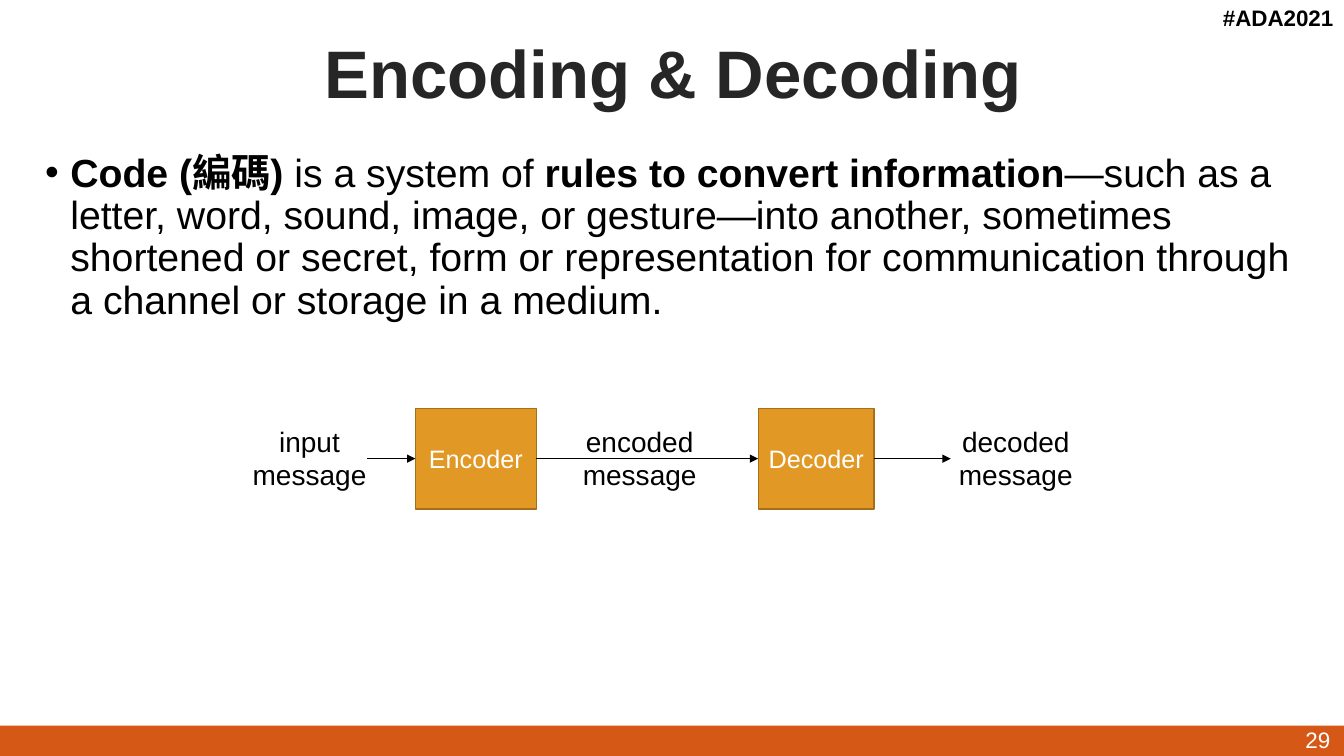
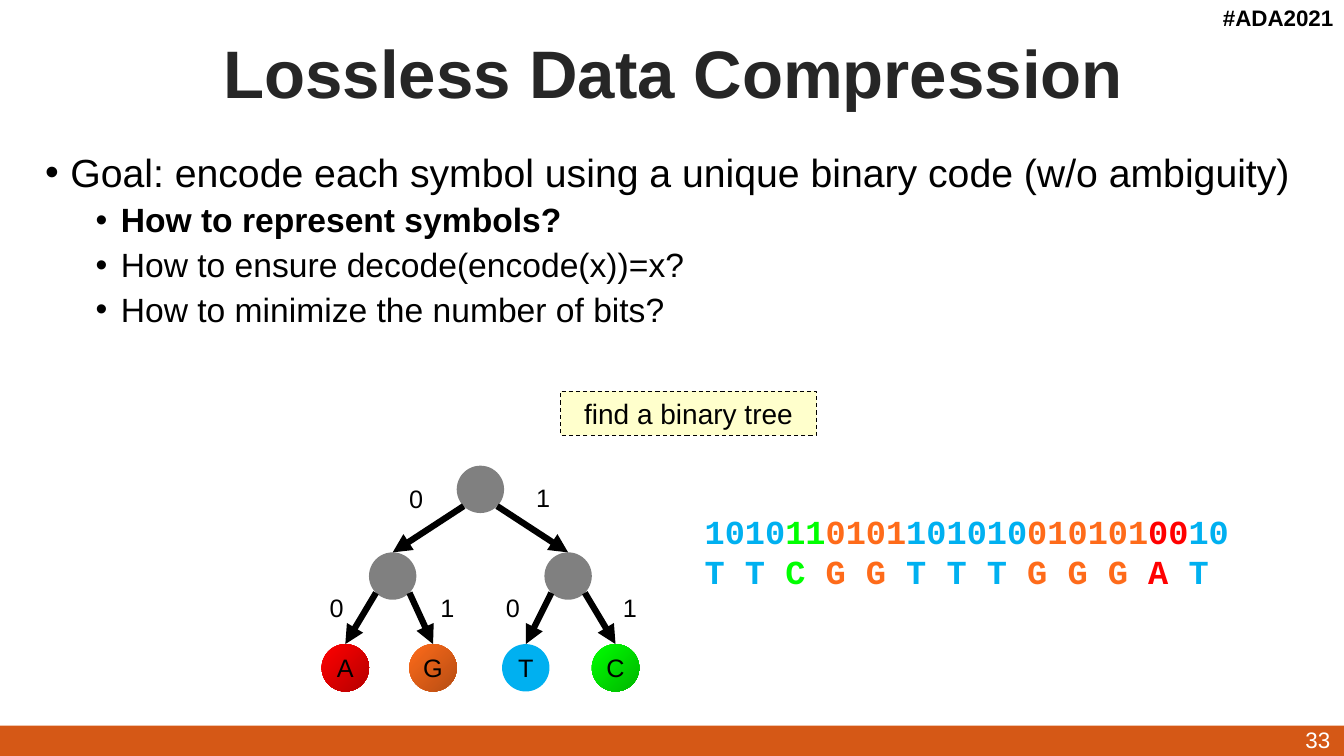
from dataclasses import dataclass
from itertools import groupby
from math import sqrt

from lxml.etree import SubElement
from pptx import Presentation
from pptx.dml.color import RGBColor as RGB
from pptx.enum.dml import MSO_LINE_DASH_STYLE as DASH
from pptx.enum.shapes import MSO_CONNECTOR as CONN, MSO_SHAPE as SHAPE
from pptx.enum.text import MSO_ANCHOR as ANCHOR, MSO_AUTO_SIZE as AUTO, PP_ALIGN as ALIGN
from pptx.oxml.ns import qn
from pptx.util import Inches, Pt


@dataclass(frozen=True)
class Theme:
    font: str = "Arial"
    mono: str = "Courier New"
    black: str = "000000"
    white: str = "FFFFFF"
    title: str = "262626"
    band: str = "D55816"
    box: str = "E19825"
    box_line: str = "A6701B"
    node: str = "808080"
    note: str = "FFFFCC"
    title_size: int = 48
    body_size: int = 28
    sub_size: int = 24
    label_size: int = 20
    small_size: int = 18
    footer_size: int = 16


T = Theme()


def write(sp, paras, size, color=T.black, bold=False, font=T.font,
          align=ALIGN.LEFT, anchor=ANCHOR.TOP, wrap=True):
    """Fill a shape; a paragraph is a string or a list of (text, bold, color)."""
    tf = sp.text_frame
    tf.auto_size, tf.word_wrap, tf.vertical_anchor = AUTO.NONE, wrap, anchor
    for i, para in enumerate(paras):
        p = tf.add_paragraph() if i else tf.paragraphs[0]
        p.alignment = align
        for text, run_bold, run_color in [(para, bold, color)] if isinstance(para, str) else para:
            r = p.add_run()
            r.text = text
            r.font.name, r.font.size, r.font.bold = font, Pt(size), run_bold
            r.font.color.rgb = RGB.from_string(run_color)
    return tf


def add_arrow(s, start, end, width):
    line = s.shapes.add_connector(CONN.STRAIGHT, *(Inches(v) for v in (*start, *end)))
    line.line.width = Pt(width)
    line.line.color.rgb = RGB.from_string(T.black)
    SubElement(line.line._get_or_add_ln(), qn("a:tailEnd"), type="triangle")
    SubElement(line._element.spPr, qn("a:effectLst"))
    return line


prs = Presentation()
prs.slide_width, prs.slide_height = Inches(13.33), Inches(7.5)

# Title, bullets, band and footer of each slide: bullets are (level, paragraph)
pages = [
    ("Encoding & Decoding", "29", [
        (0, [("Code (編碼) ", True, T.black),
             ("is a system of ", False, T.black),
             ("rules to convert information", True, T.black),
             ("—such as a letter, word, sound, image, or gesture—into another, "
              "sometimes shortened or secret, form or representation for "
              "communication through a channel or storage in a medium.", False, T.black)]),
    ]),
    ("Lossless Data Compression", "33", [
        (0, "Goal: encode each symbol using a unique binary code (w/o ambiguity)"),
        (1, [("How to represent symbols?", True, T.black)]),
        (1, "How to ensure decode(encode(x))=x?"),
        (1, "How to minimize the number of bits?"),
    ]),
]
slides = []
for title, number, bullets in pages:
    s = prs.slides.add_slide(prs.slide_layouts[5])
    slides.append(s)

    sp = s.shapes.add_textbox(Inches(12.03), Inches(-0.01), Inches(1.31), Inches(0.37))
    write(sp, ["#ADA2021"], T.footer_size, bold=True, wrap=False)

    sp = s.shapes.add_shape(SHAPE.RECTANGLE, 0, Inches(7.2), prs.slide_width, Inches(0.3))
    sp.shadow.inherit = False
    sp.fill.solid()
    sp.fill.fore_color.rgb = RGB.from_string(T.band)
    sp.line.fill.background()

    sp = s.shapes.title
    sp.left, sp.top, sp.width, sp.height = (Inches(v) for v in (0.35, 0.37, 12.66, 0.79))
    tf = write(sp, [title], T.title_size, T.title, True,
               align=ALIGN.CENTER, anchor=ANCHOR.MIDDLE)
    tf.paragraphs[0].line_spacing = 0.9

    sp = s.shapes.add_textbox(Inches(0.35), Inches(1.47), Inches(12.66), Inches(5.48))
    tf = write(sp, [para for _, para in bullets], T.body_size)
    for i, (p, (level, _)) in enumerate(zip(tf.paragraphs, bullets)):
        pPr = p._p.get_or_add_pPr()
        pPr.set("marL", str(Inches(0.25 + 0.5 * level)))
        pPr.set("indent", str(Inches(-0.25)))
        SubElement(pPr, qn("a:buFont"), typeface=T.font)
        SubElement(pPr, qn("a:buChar"), char="•")
        p.level = level
        p.line_spacing = 0.9
        p.space_before = Pt(6 if i else 0)
        for r in p.runs:
            r.font.size = Pt(T.sub_size if level else T.body_size)

    sp = s.shapes.add_textbox(Inches(12.85), Inches(7.15), Inches(0.53), Inches(0.4))
    write(sp, [number], T.footer_size, T.white)

coding, compression = slides

# Encoder and decoder boxes
boxes = []
for name, left, width in [("Encoder", 4.12, 1.2), ("Decoder", 7.52, 1.15)]:
    sp = coding.shapes.add_shape(SHAPE.RECTANGLE, Inches(left), Inches(4.05),
                                 Inches(width), Inches(1))
    sp.shadow.inherit = False
    sp.fill.solid()
    sp.fill.fore_color.rgb = RGB.from_string(T.box)
    sp.line.color.rgb = RGB.from_string(T.box_line)
    sp.line.width = Pt(1)
    write(sp, [name], T.small_size, T.white, align=ALIGN.CENTER, anchor=ANCHOR.MIDDLE)
    boxes.append(sp)
encoder, decoder = boxes

# Message flow through the boxes
flow_y = 4.55
for x1, x2, source, target in [(3.64, 4.12, None, encoder),
                               (5.32, 7.52, encoder, decoder),
                               (8.67, 9.43, decoder, None)]:
    arrow = add_arrow(coding, (x1, flow_y), (x2, flow_y), 0.5)
    if source:
        arrow.begin_connect(source, 3)
    if target:
        arrow.end_connect(target, 1)

for text, left, width in [("input message", 2.39, 1.36),
                          ("encoded message", 5.41, 1.87),
                          ("decoded message", 9.37, 1.41)]:
    sp = coding.shapes.add_textbox(Inches(left), Inches(4.16), Inches(width), Inches(0.77))
    write(sp, [text], T.label_size, align=ALIGN.CENTER)

# Symbols: code, colour, and the dark end of the gradient
symbols = {
    "A": ("00", "FF0000", "B60000"),
    "G": ("01", "FE6B1A", "B64D13"),
    "T": ("10", "00B0F0", None),
    "C": ("11", "00FF00", "00B600"),
}

# Tree nodes, level by level: children of node i are 2i + 1 and 2i + 2
size = 0.47
spots = [(4.53, 4.62), (3.66, 5.48), (5.4, 5.48),
         (3.19, 6.39), (4.06, 6.39), (4.98, 6.39), (5.87, 6.39)]
nodes = []
for (left, top), name in zip(spots, ["", "", "", *symbols]):
    sp = compression.shapes.add_shape(SHAPE.OVAL, Inches(left), Inches(top),
                                      Inches(size), Inches(size))
    sp.shadow.inherit = False
    sp.line.fill.background()
    _, color, dark = symbols.get(name, ("", T.node, None))
    if dark:
        sp.fill.gradient()
        sp.fill.gradient_angle = 315
        for stop, shade in zip(sp.fill.gradient_stops, (color, dark)):
            stop.color.rgb = RGB.from_string(shade)
    else:
        sp.fill.solid()
        sp.fill.fore_color.rgb = RGB.from_string(color)
    if name:
        write(sp, [name], T.small_size, align=ALIGN.CENTER, anchor=ANCHOR.MIDDLE, wrap=False)
    nodes.append(sp)

# Tree edges leave at the lower diagonals and end on top of the child
reach = size / 2 / sqrt(2)
label_spots = [(3.96, 4.75), (5.22, 4.74), (3.17, 5.83),
               (4.27, 5.83), (4.92, 5.83), (6.08, 5.83)]
for child, (label_left, label_top) in enumerate(label_spots, start=1):
    parent, bit = divmod(child - 1, 2)
    left, top = spots[parent]
    start = (left + size / 2 + (reach if bit else -reach), top + size / 2 + reach)
    end = (spots[child][0] + size / 2, spots[child][1])
    add_arrow(compression, start, end, 4.5).end_connect(nodes[child], 0)
    sp = compression.shapes.add_textbox(Inches(label_left), Inches(label_top),
                                        Inches(0.34), Inches(0.4))
    write(sp, [str(bit)], T.small_size, wrap=False)

# Encoded bits above the symbols they stand for
bits, letters = [], []
for name, group in groupby("TTCGGTTTGGGAT"):
    count = len(list(group))
    code, color, _ = symbols[name]
    bits.append((code * count, True, color))
    letters.append(((name + " ") * count, True, color))
text, bold, color = letters[-1]
letters[-1] = (text.rstrip(), bold, color)
sp = compression.shapes.add_textbox(Inches(6.89), Inches(5.02), Inches(5.44), Inches(0.91))
write(sp, [bits, letters], T.sub_size, font=T.mono, wrap=False)

# Note
sp = compression.shapes.add_shape(SHAPE.RECTANGLE, Inches(5.56), Inches(3.88),
                                  Inches(2.54), Inches(0.44))
sp.shadow.inherit = False
sp.fill.solid()
sp.fill.fore_color.rgb = RGB.from_string(T.note)
sp.line.color.rgb = RGB.from_string(T.black)
sp.line.width = Pt(0.75)
sp.line.dash_style = DASH.DASH
write(sp, ["find a binary tree"], T.label_size, align=ALIGN.CENTER)

prs.save("out.pptx")
